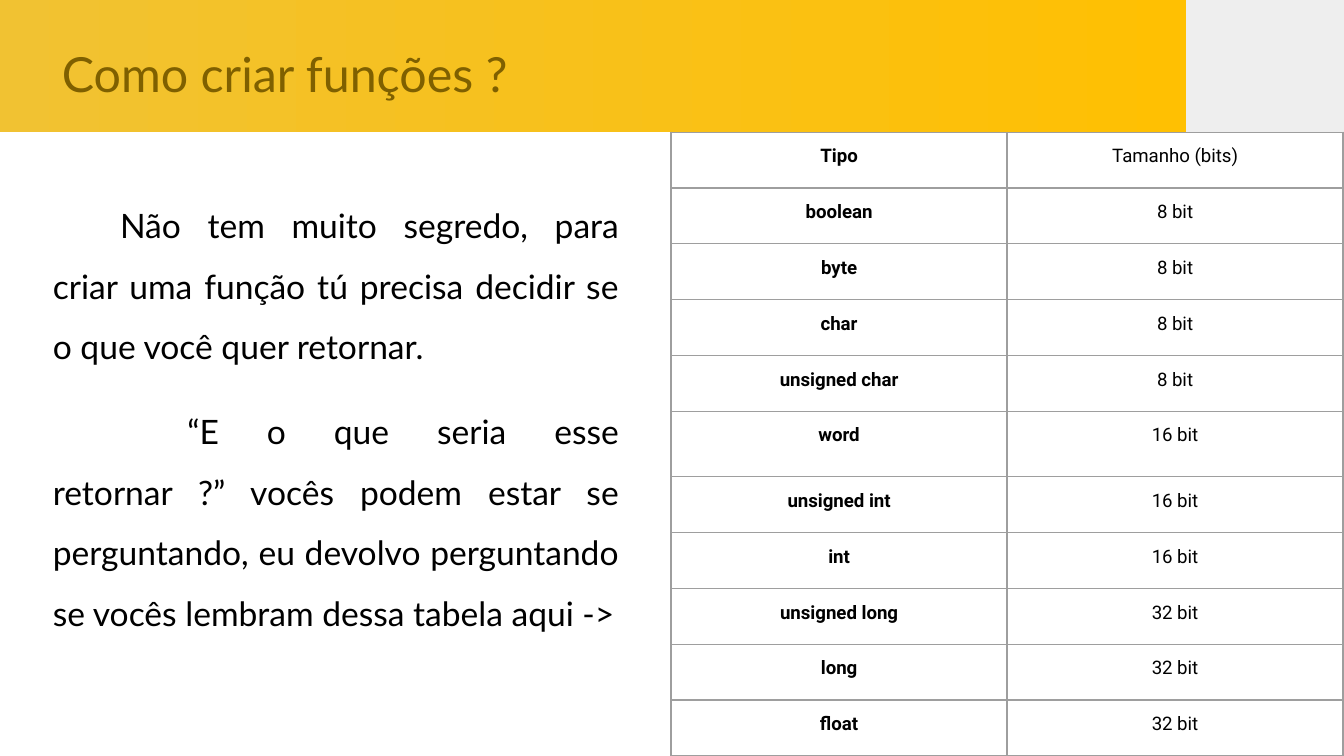
"""Builds a slide on function return types with a size table."""
from dataclasses import dataclass

from lxml import etree
from pptx import Presentation
from pptx.dml.color import RGBColor
from pptx.enum.shapes import MSO_SHAPE
from pptx.enum.text import MSO_ANCHOR, PP_ALIGN
from pptx.oxml.ns import qn
from pptx.util import Cm, Inches, Pt

RECT = MSO_SHAPE.RECTANGLE
TOP = MSO_ANCHOR.TOP
LEFT, CENTER, JUST = PP_ALIGN.LEFT, PP_ALIGN.CENTER, PP_ALIGN.JUSTIFY
TITLE_ONLY = 5


@dataclass(frozen=True)
class Theme:
    gold: str = "F1C232"
    amber: str = "FFC002"
    brown: str = "7F6000"
    grey: str = "EEEEEE"
    rule: str = "9E9E9E"
    white: str = "FFFFFF"
    black: str = "000000"
    font: str = "Lato"
    grid_font: str = "Roboto"
    title: float = 25.9
    body: float = 18
    small: float = 10
    line: float = 0.75


def rgb(code):
    return RGBColor.from_string(code)


def write(par, text, *, font, size, color, bold=False, align=LEFT,
          indent=0, lead=None, before=None):
    run = par.add_run()
    run.text = text
    run.font.name, run.font.size, run.font.bold = font, Pt(size), bold
    run.font.color.rgb = rgb(color)
    par.alignment = align
    if indent:
        props = par._p.get_or_add_pPr()
        props.set("marL", "0")
        props.set("indent", str(Inches(indent)))
    if lead:
        par.line_spacing = lead
    if before is not None:
        par.space_before = Pt(before)


def inset(frame, pad):
    frame.margin_left = frame.margin_right = pad
    frame.margin_top = frame.margin_bottom = pad
    frame.vertical_anchor = TOP
    frame.word_wrap = True


class Deck:
    """Holds the theme and the current slide, placed on a 100 by 100 grid."""

    def __init__(self, theme):
        self.theme = theme
        self.prs = Presentation()
        self.prs.slide_width, self.prs.slide_height = Inches(10), Inches(10 * 9 / 16)
        self.slide = self.prs.slides.add_slide(self.prs.slide_layouts[TITLE_ONLY])

    def col(self, n):
        return round(self.prs.slide_width * n / 100)

    def row(self, n):
        return round(self.prs.slide_height * n / 100)

    def box(self, x, y, w, h):
        return self.col(x), self.row(y), self.col(w), self.row(h)

    def block(self, area, *colors):
        shape = self.slide.shapes.add_shape(RECT, *self.box(*area))
        shape.shadow.inherit = False
        shape.line.fill.background()
        if len(colors) == 1:
            shape.fill.solid()
            shape.fill.fore_color.rgb = rgb(colors[0])
        else:
            shape.fill.gradient()
            shape.fill.gradient_angle = 0
            for stop, color in zip(shape.fill.gradient_stops, colors):
                stop.color.rgb = rgb(color)
        return shape

    def title(self, area, text):
        t, shape = self.theme, self.slide.shapes.title
        shape.left, shape.top, shape.width, shape.height = self.box(*area)
        inset(shape.text_frame, Inches(0.1))
        write(shape.text_frame.paragraphs[0], text, font=t.font,
              size=t.title, color=t.brown)
        self.slide.shapes._spTree.append(shape._element)

    def body(self, area, items):
        t = self.theme
        frame = self.block(area, t.white).text_frame
        inset(frame, Cm(1))
        for i, (indent, text) in enumerate(items):
            par = frame.add_paragraph() if i else frame.paragraphs[0]
            write(par, text, font=t.font, size=t.body, color=t.black, align=JUST,
                  indent=indent, lead=1.5, before=13 if i else 0)

    def cell(self, cell, text, bold):
        t = self.theme
        cell.margin_left = cell.margin_right = Inches(0.1)
        cell.margin_top = cell.margin_bottom = Inches(0.1)
        cell.vertical_anchor = TOP
        write(cell.text_frame.paragraphs[0], text, font=t.grid_font,
              size=t.small, color=t.black, bold=bold, align=CENTER)
        props = cell._tc.get_or_add_tcPr()
        for side in ("lnL", "lnR", "lnT", "lnB"):
            line = etree.SubElement(props, qn(f"a:{side}"), w=str(Pt(t.line)))
            fill = etree.SubElement(line, qn("a:solidFill"))
            etree.SubElement(fill, qn("a:srgbClr"), val=t.rule)
        cell.fill.solid()
        cell.fill.fore_color.rgb = rgb(t.white)

    def table(self, area, rows, tall, height):
        table = self.slide.shapes.add_table(
            len(rows), len(rows[0]), *self.box(*area)).table
        table.first_row = table.horz_banding = False
        rest = (area[3] - height) / (len(rows) - 1)
        for r, texts in enumerate(rows):
            table.rows[r].height = self.row(height if r == tall else rest)
            for c, text in enumerate(texts):
                self.cell(table.cell(r, c), text, bold=c == 0)


def main():
    theme = Theme()
    deck = Deck(theme)
    band = 17.5
    rest = 100 - band
    deck.block((0, 0, 88.25, band), theme.gold, theme.amber)
    deck.block((88.25, 0, 11.75, band), theme.grey)
    deck.title((3.6, 4.1, 84.3, 9.4), "Como criar funções ?")
    deck.body((0, band, 50, rest), [
        (0.5, "Não tem muito segredo, para criar uma função tú precisa "
              "decidir se o que você quer retornar."),
        (1, "“E o que seria esse retornar ?” vocês podem estar se "
            "perguntando, eu devolvo perguntando se vocês lembram dessa "
            "tabela aqui ->"),
    ])
    sizes = {
        8: ("boolean", "byte", "char", "unsigned char"),
        16: ("word", "unsigned int", "int"),
        32: ("unsigned long", "long", "float"),
    }
    rows = [("Tipo", "Tamanho (bits)")]
    rows += [(kind, f"{n} bit") for n, kinds in sizes.items() for kind in kinds]
    deck.table((49.93, band, 50, rest), rows, tall=5, height=8.7)
    deck.prs.save("out.pptx")


if __name__ == "__main__":
    main()
